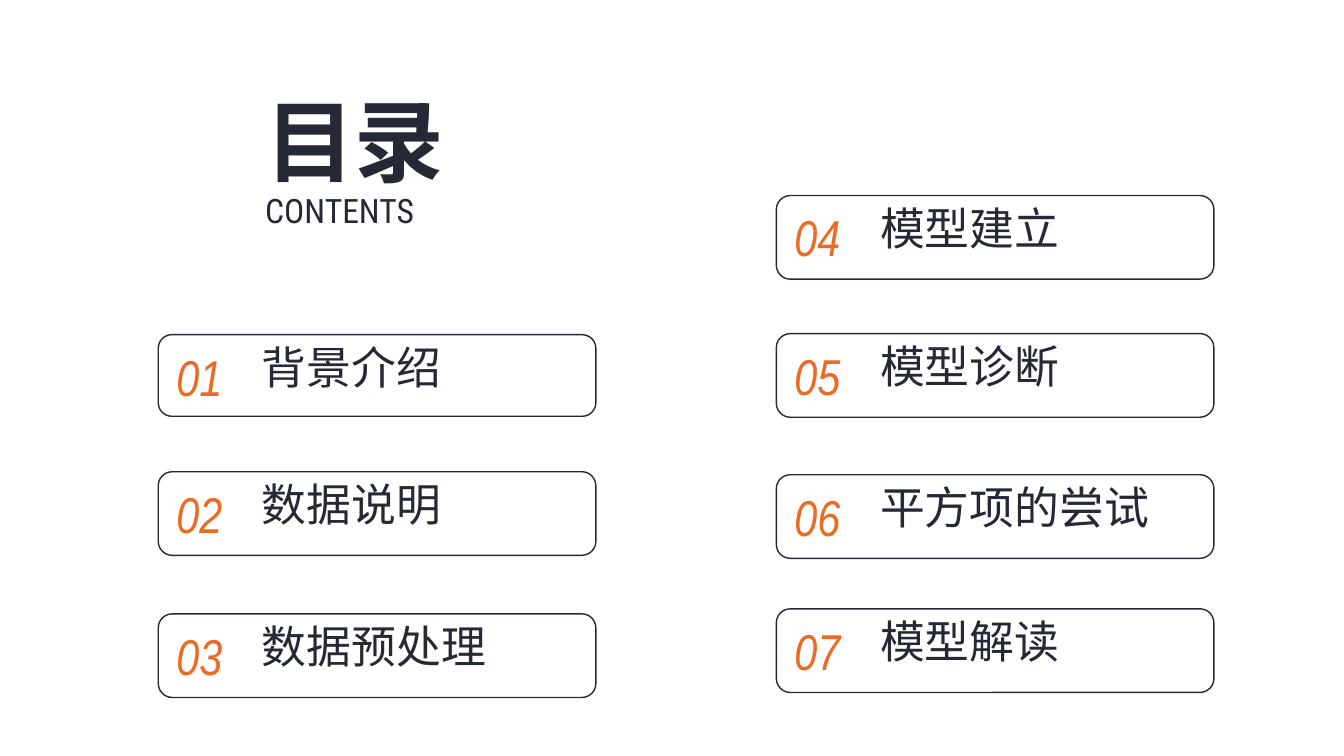
from lxml import etree
from pptx import Presentation
from pptx.dml.color import RGBColor
from pptx.enum.shapes import MSO_SHAPE
from pptx.enum.text import MSO_ANCHOR, MSO_AUTO_SIZE, PP_ALIGN
from pptx.oxml.ns import qn
from pptx.util import Pt

ROUND = MSO_SHAPE.ROUNDED_RECTANGLE
TOP = MSO_ANCHOR.TOP
FIXED = MSO_AUTO_SIZE.NONE
LEFT, JUST = PP_ALIGN.LEFT, PP_ALIGN.JUSTIFY

DARK, ORANGE = "242935", "EC6B24"
HAN = "Noto Sans CJK SC"
HEAD = dict(name=HAN, size=Pt(64), bold=True)
SUB = dict(name="Roboto Condensed", size=Pt(24), bold=False)
TOPIC = dict(name=HAN, size=Pt(32))
NUMBER = dict(name="Arial Narrow", size=Pt(36), italic=True)

TITLE = [("目录", HEAD), ("CONTENTS", SUB)]
COLUMNS = [
    (157, [(332, 81, "背景介绍"), (468, 83, "数据说明"), (609, 83, "数据预处理")]),
    (770, [(194, 83, "模型建立"), (331, 83, "模型诊断"),
           (471, 83, "平方项的尝试"), (604, 83, "模型解读")]),
]


def px(n):
    return n * 9144


def color(code):
    return RGBColor.from_string(code)


def place(shape, *box):
    for key, n in zip(("left", "top", "width", "height"), box):
        setattr(shape, key, px(n))


def write(shape, lines, code, align=LEFT, gap=0.9):
    frame = shape.text_frame
    frame.word_wrap = True
    frame.auto_size = FIXED
    frame.vertical_anchor = TOP
    for i, (text, style) in enumerate(lines):
        para = frame.add_paragraph() if i else frame.paragraphs[0]
        para.alignment = align
        para.line_spacing = gap
        run = para.add_run()
        run.text = text
        run.font.color.rgb = color(code)
        for key, value in style.items():
            setattr(run.font, key, value)
        props = run._r.get_or_add_rPr()
        etree.SubElement(props, qn("a:ea")).set("typeface", style["name"])


def add_text(shapes, box, line, code, gap):
    label = shapes.add_textbox(*map(px, box))
    write(label, [line], code, gap=gap)


def add_item(shapes, x, y, high, number, topic):
    card = shapes.add_shape(ROUND, *map(px, (x, y, 434, high)))
    card.shadow.inherit = False
    card.fill.background()
    card.line.color.rgb = color(DARK)
    card.line.width = Pt(1)
    add_text(shapes, (x + 93, y + 6, 342, 64), (topic, TOPIC), DARK, 0.9)
    add_text(shapes, (x + 8, y + 6, 88, 73), (number, NUMBER), ORANGE, 1.0)


def main():
    """Build the contents slide with its numbered topic cards."""
    deck = Presentation()
    deck.slide_width, deck.slide_height = px(1333), px(750)
    slide = deck.slides.add_slide(deck.slide_layouts[5])
    title = slide.shapes.title
    place(title, 253, 92, 228, 158)
    write(title, TITLE, DARK, JUST)
    count = 0
    for x, items in COLUMNS:
        for y, high, topic in items:
            count += 1
            group = slide.shapes.add_group_shape()
            add_item(group.shapes, x, y, high, f"{count:02}", topic)
    deck.save("out.pptx")


if __name__ == "__main__":
    main()
